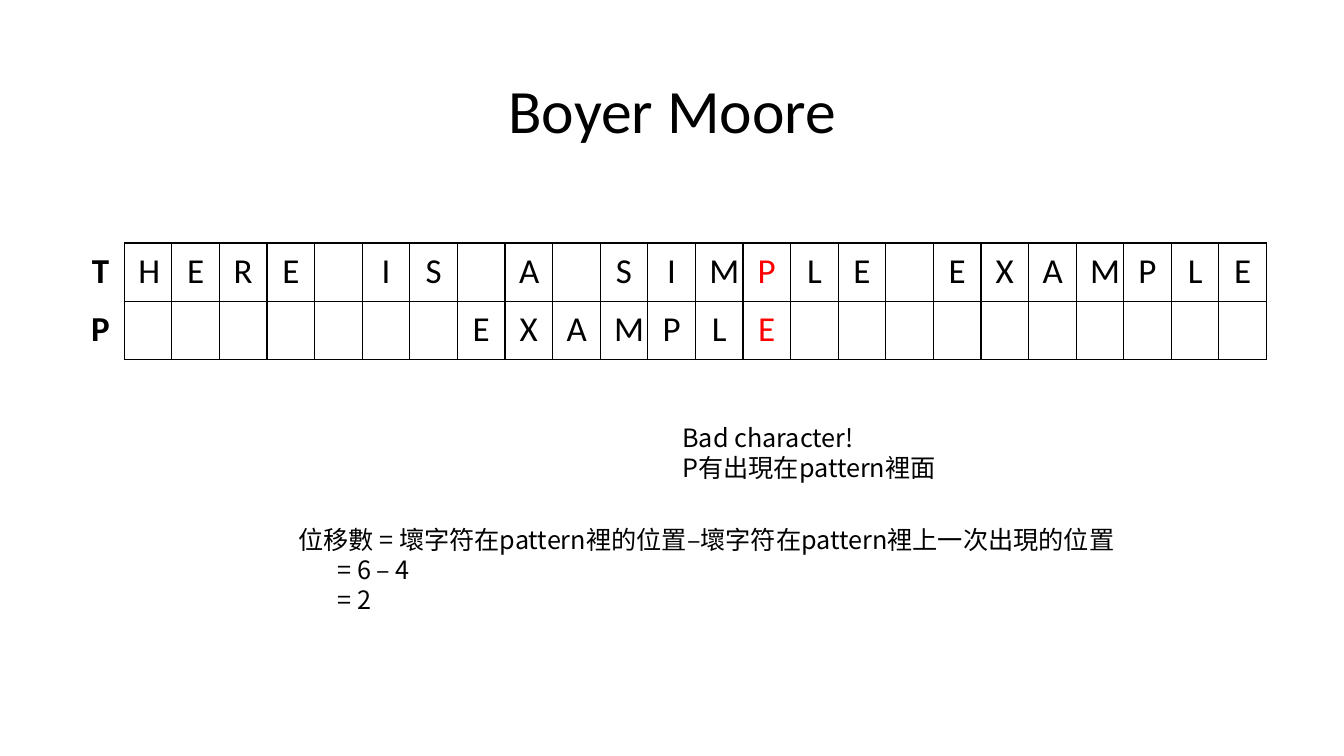
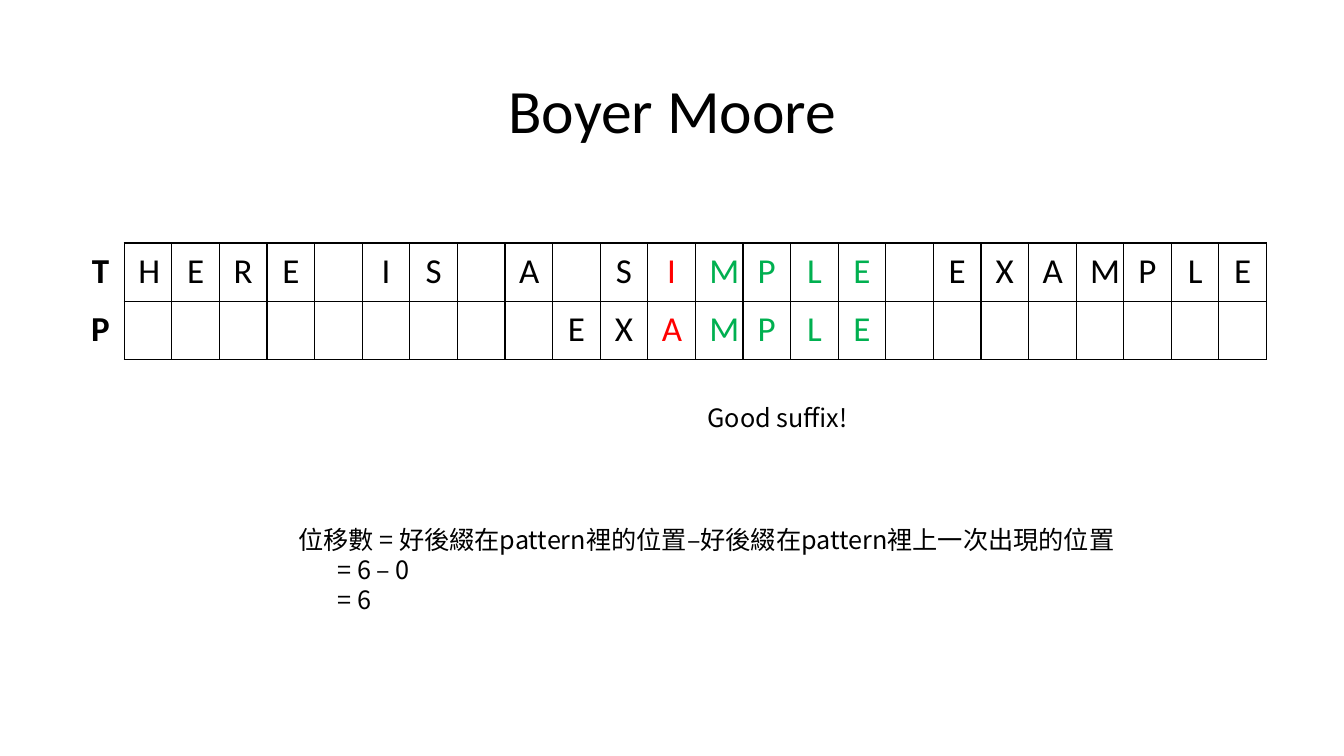
"""Two worked steps of Boyer Moore string matching."""
from lxml.etree import SubElement
from pptx import Presentation
from pptx.dml.color import RGBColor
from pptx.enum.text import MSO_ANCHOR, PP_ALIGN
from pptx.oxml.ns import qn
from pptx.util import Inches, Pt

COLORS = {"ink": "000000", "mismatch": "FF0000", "match": "00B050"}
LATIN_FONT = "Calibri"
NOTE_FONT = "Noto Sans CJK SC"
PLAIN_TABLE = "{2D5ABB26-0587-4C30-8999-92F81FD0307C}"
TEXT = "HERE IS A SIMPLE EXAMPLE"
PATTERN = "EXAMPLE"


class MatchDeck:
    def __init__(self):
        self.deck = Presentation()
        self.deck.slide_width = Inches(13.33)
        self.deck.slide_height = Inches(7.5)
        self.slide = None

    def add_run(self, paragraph, text, size, font=LATIN_FONT, color="ink", bold=False):
        run = paragraph.add_run()
        run.text = text
        run.font.size = Pt(size)
        run.font.bold = bold
        run.font.color.rgb = RGBColor.from_string(COLORS[color])
        run.font.name = font
        SubElement(run.font._element, qn("a:ea"), typeface=font)

    def new_slide(self, heading):
        self.slide = self.deck.slides.add_slide(self.deck.slide_layouts[5])
        title = self.slide.shapes.title
        title.left, title.top = Inches(0.92), Inches(0.4)
        title.width, title.height = Inches(11.5), Inches(1.45)
        title.text_frame.vertical_anchor = MSO_ANCHOR.MIDDLE
        paragraph = title.text_frame.paragraphs[0]
        paragraph.alignment = PP_ALIGN.CENTER
        paragraph.line_spacing = 0.9
        self.add_run(paragraph, heading, 44)

    def style_cell(self, cell, sides):
        cell.margin_left = cell.margin_right = Inches(0.14)
        cell.margin_top = cell.margin_bottom = Inches(0.07)
        properties = cell._tc.get_or_add_tcPr()
        for side in "LRTB":
            line = SubElement(properties, qn(f"a:ln{side}"), w=str(Pt(1)))
            if side in sides:
                fill = SubElement(line, qn("a:solidFill"))
                SubElement(fill, qn("a:srgbClr"), val=COLORS["ink"])
            else:
                SubElement(line, qn("a:noFill"))
        cell.fill.background()

    def add_alignment(self, shift):
        end = shift + len(PATTERN)
        mismatch = max(i for i in range(shift, end) if TEXT[i] != PATTERN[i - shift])
        marks = {i: "match" for i in range(mismatch + 1, end)}
        marks[mismatch] = "mismatch"
        rows = ["T" + TEXT, "P" + (" " * shift + PATTERN).ljust(len(TEXT))]
        grid = self.slide.shapes.add_table(
            len(rows), len(rows[0]), Inches(0.76), Inches(2.41), Inches(11.81), Inches(1.16)
        ).table
        grid.first_row = grid.horz_banding = False
        grid._tbl.tblPr.find(qn("a:tableStyleId")).text = PLAIN_TABLE
        for column in grid.columns:
            column.width = Inches(11.81 / len(rows[0]))
        for row, letters in enumerate(rows):
            for column, letter in enumerate(letters):
                cell = grid.cell(row, column)
                is_label = column == 0
                self.style_cell(cell, "R" if is_label else "LRTB")
                if letter != " ":
                    paragraph = cell.text_frame.paragraphs[0]
                    paragraph.alignment = PP_ALIGN.CENTER
                    color = marks.get(column - 1, "ink")
                    self.add_run(paragraph, letter, 25, color=color, bold=is_label)

    def add_note(self, left, top, width, height, lines, hanging=0):
        note = self.slide.shapes.add_textbox(
            Inches(left), Inches(top), Inches(width), Inches(height)
        )
        frame = note.text_frame
        frame.word_wrap = True
        for index, line in enumerate(lines):
            paragraph = frame.add_paragraph() if index else frame.paragraphs[0]
            if index and hanging:
                paragraph._p.get_or_add_pPr().set("marL", str(Inches(hanging)))
            paragraph.line_spacing = Pt(21.5)
            self.add_run(paragraph, line, 18, NOTE_FONT)

    def add_shift_rule(self, rule, position, previous):
        formula = f"位移數 = {rule}在pattern裡的位置–{rule}在pattern裡上一次出現的位置"
        steps = [formula, f"= {position} – {previous}", f"= {position - previous}"]
        self.add_note(2.86, 5.15, 8.9, 1.01, steps, hanging=0.39)


def main():
    deck = MatchDeck()

    deck.new_slide("Boyer Moore")
    deck.add_alignment(shift=7)
    deck.add_note(6.67, 4.14, 2.73, 0.71, ["Bad character!", "P有出現在pattern裡面"])
    deck.add_shift_rule("壞字符", 6, 4)

    deck.new_slide("Boyer Moore")
    deck.add_alignment(shift=9)
    deck.add_note(6.92, 3.94, 1.72, 0.4, ["Good suffix!"])
    deck.add_shift_rule("好後綴", 6, 0)

    deck.deck.save("out.pptx")


if __name__ == "__main__":
    main()
